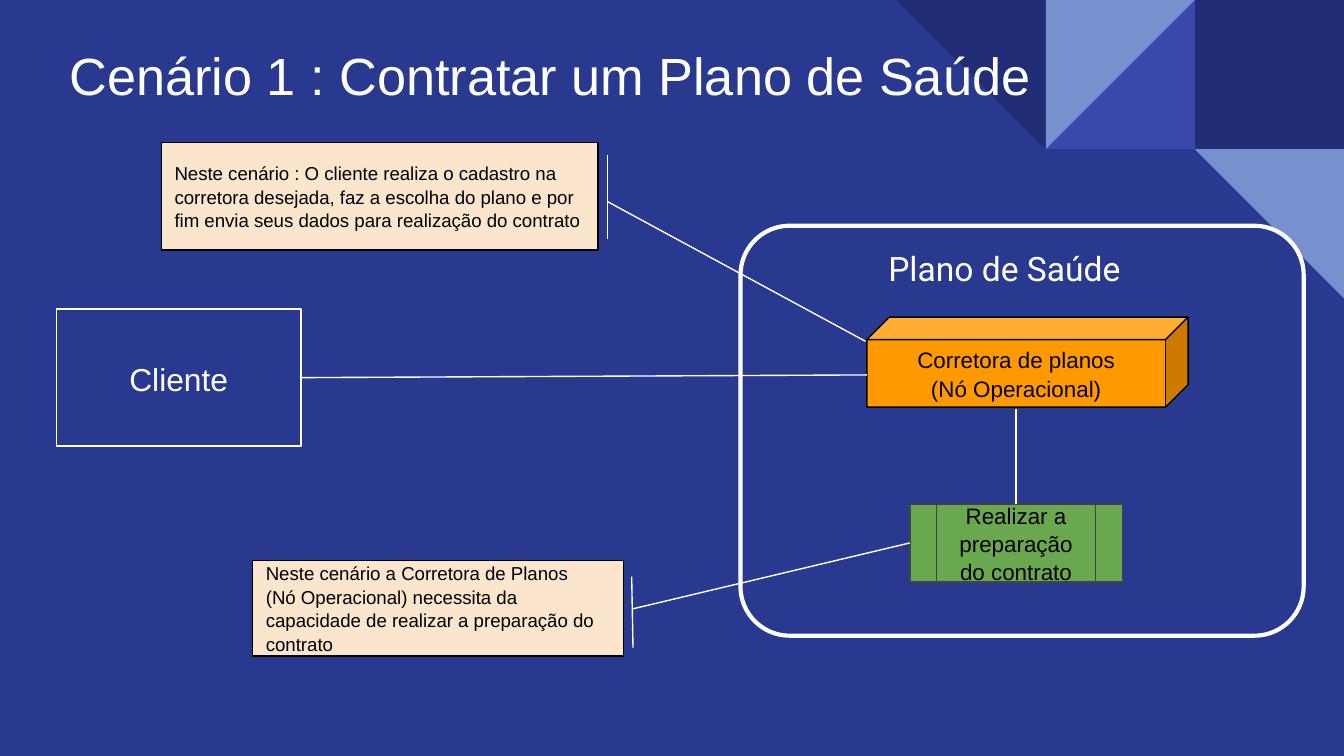
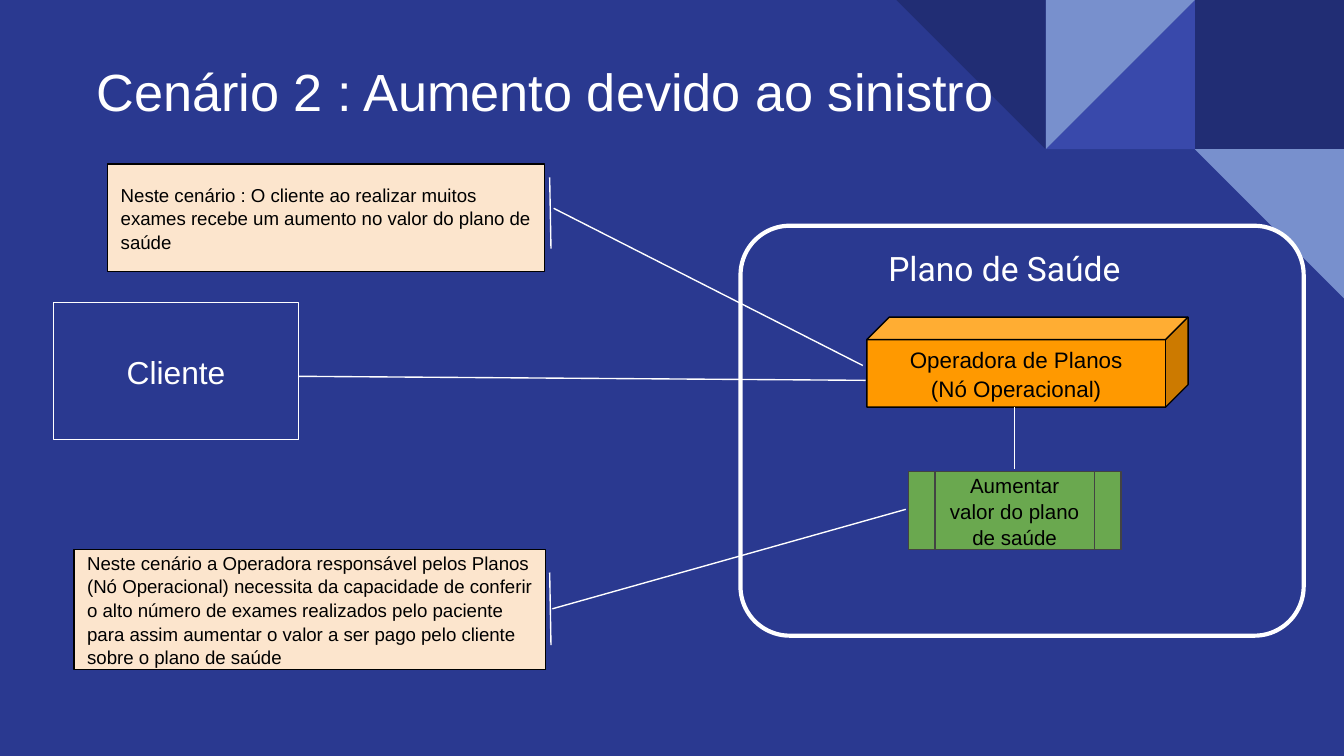
"""Build two scenario slides for a health plan."""
from lxml import etree
from pptx import Presentation
from pptx.dml.color import RGBColor
from pptx.enum.shapes import MSO_CONNECTOR, MSO_SHAPE as SHAPE
from pptx.enum.text import MSO_ANCHOR as ANCHOR, PP_ALIGN as ALIGN
from pptx.oxml.ns import qn
from pptx.util import Inches, Pt

BACKGROUND = RGBColor(0x2A, 0x39, 0x90)
NAVY = RGBColor(0x21, 0x2D, 0x74)
INDIGO = RGBColor(0x39, 0x49, 0xAB)
SKY = RGBColor(0x78, 0x90, 0xCD)
WHITE = RGBColor(0xFF, 0xFF, 0xFF)
BLACK = RGBColor(0x00, 0x00, 0x00)
GRAY = RGBColor(0x43, 0x43, 0x43)
ORANGE = RGBColor(0xFF, 0x99, 0x00)
GREEN = RGBColor(0x6A, 0xA8, 0x4F)
CREAM = RGBColor(0xFC, 0xE5, 0xCD)

TILE = 1.11
TILES = [
    (SHAPE.RECTANGLE, 8.89, 0, 0, NAVY),
    (SHAPE.RIGHT_TRIANGLE, 7.78, 0, 270, INDIGO),
    (SHAPE.RIGHT_TRIANGLE, 7.78, 0, 90, SKY),
    (SHAPE.RIGHT_TRIANGLE, 6.67, 0, 180, NAVY),
    (SHAPE.RIGHT_TRIANGLE, 8.89, TILE, 180, SKY),
]

SCENARIOS = [
    {
        "title": ("Cenário 1 : Contratar um Plano de Saúde", (0.42, 0.2, 9.24, 0.67), 0.1),
        "client": (0.42, 2.3, 1.82, 1.02),
        "node": "Corretora de planos\n(Nó Operacional)",
        "process": ("Realizar a preparação do contrato", (6.77, 3.75, 1.58, 0.58), 12),
        "notes": [
            ("Neste cenário : O cliente realiza o cadastro na corretora desejada, faz a "
             "escolha do plano e por fim envia seus dados para realização do contrato",
             (1.2, 1.06, 3.25, 0.8)),
            ("Neste cenário a Corretora de Planos\n(Nó Operacional) necessita da "
             "capacidade de realizar a preparação do contrato",
             (1.88, 4.17, 2.76, 0.71)),
        ],
        "lines": [
            (7.56, 3.04, 7.56, 3.75),
            (2.24, 2.81, 6.45, 2.79),
            (4.52, 1.5, 6.44, 2.54),
            (4.52, 1.15, 4.52, 1.78),
            (4.71, 4.53, 6.77, 4.04),
            (4.7, 4.29, 4.71, 4.82),
        ],
    },
    {
        "title": ("Cenário 2 : Aumento devido ao sinistro", (0.62, 0.37, 8.78, 0.57), 0.05),
        "client": (0.4, 2.25, 1.82, 1.02),
        "node": "Operadora de Planos\n(Nó Operacional)",
        "process": ("Aumentar valor do plano de saúde", (6.76, 3.51, 1.58, 0.58), 11),
        "notes": [
            ("Neste cenário : O cliente ao realizar muitos exames recebe um aumento no "
             "valor do plano de saúde",
             (0.8, 1.22, 3.25, 0.8)),
            ("Neste cenário a Operadora responsável pelos Planos\n(Nó Operacional) "
             "necessita da capacidade de conferir o alto número de exames realizados "
             "pelo paciente para assim aumentar o valor a ser pago pelo cliente sobre "
             "o plano de saúde",
             (0.55, 4.09, 3.51, 0.89)),
        ],
        "lines": [
            (7.55, 3.03, 7.55, 3.49),
            (2.22, 2.8, 6.44, 2.83),
            (4.12, 1.55, 6.42, 2.72),
            (4.09, 1.32, 4.1, 1.85),
            (4.11, 4.53, 6.74, 3.79),
            (4.09, 4.26, 4.1, 4.8),
        ],
    },
]


def write_text(shape, text, size=10, font="Arial", color=BLACK, align=ALIGN.CENTER,
               anchor=ANCHOR.MIDDLE, margin=0.1):
    frame = shape.text_frame
    frame.word_wrap = True
    frame.vertical_anchor = anchor
    frame.margin_left = frame.margin_right = Inches(0.1)
    frame.margin_top = frame.margin_bottom = Inches(margin)
    frame.text = text
    for paragraph in frame.paragraphs:
        paragraph.alignment = align
        paragraph.line_spacing = 1.05
        for run in paragraph.runs:
            run.font.size = Pt(size)
            run.font.name = font
            run.font.color.rgb = color


def add_box(slide, kind, at, fill=None, line=None, width=0.75):
    shape = slide.shapes.add_shape(kind, *map(Inches, at))
    shape.shadow.inherit = False
    if fill is None:
        shape.fill.background()
    else:
        shape.fill.solid()
        shape.fill.fore_color.rgb = fill
    if line is None:
        shape.line.fill.background()
    else:
        shape.line.color.rgb = line
        shape.line.width = Pt(width)
    return shape


presentation = Presentation()
presentation.slide_width = Inches(10)
presentation.slide_height = Inches(5.625)

for scenario in SCENARIOS:
    slide = presentation.slides.add_slide(presentation.slide_layouts[6])
    slide.background.fill.solid()
    slide.background.fill.fore_color.rgb = BACKGROUND

    for kind, left, top, rotation, color in TILES:
        tile = add_box(slide, kind, (left, top, TILE, TILE), fill=color)
        tile.rotation = rotation

    text, at, margin = scenario["title"]
    title = slide.shapes.add_textbox(*map(Inches, at))
    write_text(title, text, size=28, color=WHITE, align=ALIGN.LEFT,
               anchor=ANCHOR.TOP, margin=margin)

    plan = add_box(slide, SHAPE.ROUNDED_RECTANGLE, (5.51, 1.68, 4.19, 3.05),
                   line=WHITE, width=2.25)
    plan.adjustments[0] = 0.12
    heading = slide.shapes.add_textbox(*map(Inches, (5.82, 1.73, 3.37, 0.5)))
    write_text(heading, "Plano de Saúde ", size=18, font="Roboto", color=WHITE,
               anchor=ANCHOR.TOP)

    client = add_box(slide, SHAPE.RECTANGLE, scenario["client"], line=WHITE)
    write_text(client, "Cliente", size=17, color=WHITE)

    node = add_box(slide, SHAPE.CUBE, (6.45, 2.36, 2.39, 0.67), fill=ORANGE, line=BLACK)
    node.adjustments[0] = 0.25
    write_text(node, scenario["node"], size=12)

    text, at, size = scenario["process"]
    process = add_box(slide, SHAPE.FLOWCHART_PREDEFINED_PROCESS, at, fill=GREEN, line=GRAY)
    write_text(process, text, size=size)

    for text, at in scenario["notes"]:
        note = add_box(slide, SHAPE.FLOWCHART_PROCESS, at, fill=CREAM, line=BLACK)
        write_text(note, text, align=ALIGN.LEFT)

    for ends in scenario["lines"]:
        connector = slide.shapes.add_connector(MSO_CONNECTOR.STRAIGHT, *map(Inches, ends))
        connector.line.color.rgb = WHITE
        connector.line.width = Pt(0.75)
        etree.SubElement(connector.element.spPr, qn("a:effectLst"))

presentation.save("out.pptx")
